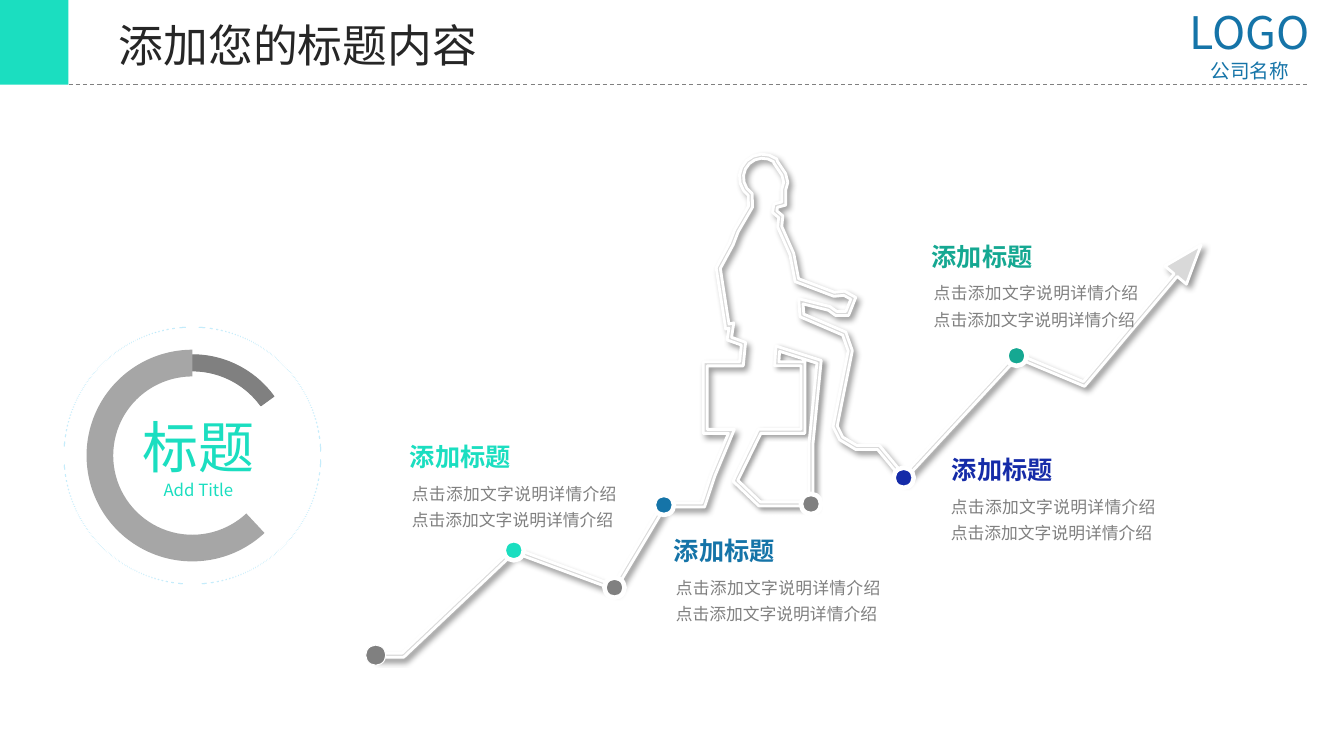
from math import cos, hypot, radians, sin

from lxml.etree import SubElement
from pptx import Presentation
from pptx.dml.color import RGBColor
from pptx.enum.dml import MSO_LINE
from pptx.enum.shapes import MSO_CONNECTOR, MSO_SHAPE
from pptx.enum.text import MSO_AUTO_SIZE, PP_ALIGN
from pptx.oxml.ns import qn
from pptx.util import Inches, Pt

COLORS = {
    "mint": "1BDEC0", "blue": "1574A8", "navy": "152BA8", "green": "15A892",
    "gray": "808080", "silver": "A6A6A6", "pale": "D9D9D9", "sky": "00B0F0",
    "ink": "262626", "white": "FFFFFF", "black": "000000",
}
SC, JP = "Noto Sans CJK SC", "Noto Sans CJK JP"
DETAIL = "点击添加文字说明详情介绍" * 2
DOT = 0.2

START, FIRST_PEAK, FIRST_DIP = (3.73, 6.5), (5.1, 5.46), (6.1, 5.83)
FRONT_TOE, BACK_HEEL = (6.59, 5.01), (8.05, 5)
SECOND_DIP, SECOND_PEAK = (8.97, 4.74), (10.09, 3.53)
LAST_DIP, ARROW_NECK = (10.76, 3.81), (11.67, 2.73)
STOPS = [
    (START, "gray", 0.75), (FIRST_PEAK, "mint", 3.25), (FIRST_DIP, "gray", 3.25),
    (BACK_HEEL, "gray", 3.25), (FRONT_TOE, "blue", 3.25), (SECOND_DIP, "navy", 3.25),
    (SECOND_PEAK, "green", 3.25),
]
CASE_LEFT, CASE_TOP, CASE_RIGHT, CASE_BOTTOM = 7, 3.61, 7.97, 4.28
HEAD_CENTER, HEAD_RADIUS = (7.57, 1.76), 0.21

FIRST_RISE = [START, (4, 6.5), FIRST_PEAK, FIRST_DIP, FRONT_TOE]
FRONT_SHIN = [(6.98, 5.01), (7.08, 4.71), (7.26, CASE_BOTTOM)]
CASE_FRONT = [(CASE_LEFT, CASE_BOTTOM), (CASE_LEFT, CASE_TOP), (7.36, CASE_TOP)]
HAND_AND_BACK = [(7.38, 3.41), (7.24, 3.36), (7.26, 3.23), (7.22, 3.24), (7.13, 2.66),
                 (7.26, 2.42), (7.31, 2.29), (7.45, 2.05)]
FACE = [(7.7, 1.61), (7.78, 1.73), (7.8, 1.81), (7.78, 1.88), (7.78, 2.02), (7.7, 2.04)]
CHEST = [(7.69, 2.1), (7.75, 2.15), (7.74, 2.25), (7.86, 2.52), (7.91, 2.78)]
REACHING_ARM = [(8.28, 2.92), (8.38, 2.91), (8.47, 2.96), (8.41, 3.11), (8.3, 3.11),
                (8.23, 3.06), (7.95, 2.99)]
RAISED_LEG = [(7.96, 3.13), (8.38, 3.31), (8.44, 3.48), (8.29, 4.23), (8.35, 4.35),
              (8.5, 4.44), (8.72, 4.44)]
LAST_RISE = [SECOND_DIP, SECOND_PEAK, LAST_DIP, ARROW_NECK]
CASE_BACK = [(7.54, CASE_BOTTOM), (CASE_RIGHT, CASE_BOTTOM), (CASE_RIGHT, CASE_TOP),
             (7.71, CASE_TOP)]
BACK_LEG = [(7.72, 3.46), (8.13, 3.59), (8.05, 4.4), BACK_HEEL, (7.54, 5), (7.3, 4.77)]

CAPTIONS = [
    (3.97, 4.33, "mint", 0.02), (6.59, 5.26, "blue", 0.02),
    (9.35, 4.46, "navy", -0.01), (9.15, 2.34, "green", 0.02),
]


def rgb(color):
    return RGBColor.from_string(COLORS[color])


def paint(shape, fill, line=None, weight=0.75):
    shape.shadow.inherit = False
    shape.fill.solid()
    shape.fill.fore_color.rgb = rgb(fill)
    if line:
        shape.line.color.rgb = rgb(line)
        shape.line.width = Pt(weight)
    else:
        shape.line.fill.background()


def add_preset(slide, kind, left, top, width, height, fill, line=None, weight=0.75):
    shape = slide.shapes.add_shape(kind, Inches(left), Inches(top), Inches(width), Inches(height))
    paint(shape, fill, line, weight)
    return shape


def add_text(slide, left, top, width, height, rows, font, color, align=PP_ALIGN.LEFT,
             bold=False, wrap=True, spacing=None):
    frame = slide.shapes.add_textbox(
        Inches(left), Inches(top), Inches(width), Inches(height)).text_frame
    frame.text = "\n".join(words for words, _ in rows)
    frame.word_wrap = wrap
    frame.auto_size = MSO_AUTO_SIZE.SHAPE_TO_FIT_TEXT
    for paragraph, (_, size) in zip(frame.paragraphs, rows):
        paragraph.alignment = align
        if spacing:
            paragraph.line_spacing = spacing
        for run in paragraph.runs:
            run.font.size = Pt(size)
            run.font.bold = bold
            run.font.color.rgb = rgb(color)
            run.font.name = font
            SubElement(run._r.get_or_add_rPr(), qn("a:ea"), typeface=font)


def arc_points(center, radius, start, end, step):
    return [(center[0] + radius * cos(radians(angle)), center[1] + radius * sin(radians(angle)))
            for angle in range(start, end + 1, step)]


def unit_normal(start, end):
    dx, dy = end[0] - start[0], end[1] - start[1]
    length = hypot(dx, dy)
    return -dy / length, dx / length


def ribbon_sides(points, closed=False, half_width=0.02):
    normals = [unit_normal(a, b) for a, b in zip(points, points[1:] + points[:1])]
    if not closed:
        normals[-1] = normals[-2]
    right, left = [], []
    for i, (x, y) in enumerate(points):
        nx, ny = normals[i]
        px, py = normals[i - 1] if i or closed else normals[i]
        reach = half_width / max(1 + nx * px + ny * py, 0.5)
        dx, dy = (nx + px) * reach, (ny + py) * reach
        right.append((x + dx, y + dy))
        left.append((x - dx, y - dy))
    return right, left


def arrowhead(before, neck, half_width=0.14, length=0.39):
    nx, ny = unit_normal(before, neck)
    x, y = neck
    return [(x + nx * half_width, y + ny * half_width),
            (x + ny * length, y - nx * length),
            (x - nx * half_width, y - ny * half_width)]


def add_ribbon(slide, left, top, contours):
    placed = [[(Inches(left + x), Inches(top + y)) for x, y in contour] for contour in contours]
    builder = slide.shapes.build_freeform(*placed[0][0], scale=1.0)
    for i, contour in enumerate(placed):
        if i:
            builder.move_to(*contour[0])
        builder.add_line_segments(contour[1:], close=True)
    ribbon = builder.convert_to_shape()
    paint(ribbon, "pale", "white", 2)
    effects = ribbon._element.spPr.find(qn("a:effectLst"))
    shadow = SubElement(effects, qn("a:outerShdw"), blurRad=str(Pt(4)), dist=str(Pt(3)),
                        dir=str(45 * 60000), algn="tl", rotWithShape="0")
    tint = SubElement(shadow, qn("a:srgbClr"), val=COLORS["black"])
    SubElement(tint, qn("a:alpha"), val="40000")


def add_climb(slide, left, top):
    add_ribbon(slide, left, top, ribbon_sides(BACK_LEG + CASE_BACK, closed=True))
    head = arc_points(HEAD_CENTER, HEAD_RADIUS, 126, 306, 20)
    walker = (FRONT_SHIN + CASE_FRONT + HAND_AND_BACK + head + FACE + CHEST
              + REACHING_ARM + RAISED_LEG)
    lower, upper = ribbon_sides(FIRST_RISE + walker + LAST_RISE)
    add_ribbon(slide, left, top, [lower + arrowhead(LAST_DIP, ARROW_NECK) + upper[::-1]])
    for (x, y), color, weight in STOPS:
        add_preset(slide, MSO_SHAPE.OVAL, left + x - DOT / 2, top + y - DOT / 2, DOT, DOT,
                   color, "white", weight)


def add_caption(slide, left, top, color, indent):
    add_text(slide, left, top, 1.22, 0.4, [("添加标题", 18)], SC, color, bold=True, wrap=False)
    add_text(slide, left + indent, top + 0.36, 2.23, 0.63, [(DETAIL, 12)], SC, "gray",
             PP_ALIGN.JUSTIFY, spacing=1.3)


def add_badge(slide, left, top, size):
    center_x, center_y = left + size / 2, top + size / 2
    arcs = [(1, 270, 324, 0.08, "gray", "gray"), (1.05, 47, 270, 0.126, "silver", None)]
    for radius, start, end, thickness, fill, line in arcs:
        arc = add_preset(slide, MSO_SHAPE.BLOCK_ARC, center_x - radius, center_y - radius,
                         2 * radius, 2 * radius, fill, line)
        for i, value in enumerate((start * 0.6, end * 0.6, thickness)):
            arc.adjustments[i] = value
    halo = add_preset(slide, MSO_SHAPE.DONUT, left, top, size, size, "sky", "white")
    halo.adjustments[0] = 0.004
    add_text(slide, left + 0.58, top + 0.8, 1.52, 0.98, [("标题", 40), ("Add Title", 12)],
             SC, "mint", PP_ALIGN.CENTER)


def add_header(slide, left, top, width, height):
    rule = slide.shapes.add_connector(
        MSO_CONNECTOR.STRAIGHT, Inches(left + 0.68), Inches(top + height),
        Inches(left + width), Inches(top + height))
    rule.line.color.rgb = rgb("gray")
    rule.line.width = Pt(0.75)
    rule.line.dash_style = MSO_LINE.DASH
    SubElement(rule._element.spPr, qn("a:effectLst"))
    add_preset(slide, MSO_SHAPE.RECTANGLE, left, top, 0.68, height, "mint")
    add_text(slide, left + 1.08, top + 0.13, 5.43, 0.64, [("添加您的标题内容", 32)], JP, "ink")
    add_text(slide, left + width - 1.39, top, 1.65, 0.91, [("LOGO", 32), ("公司名称", 14)],
             JP, "blue", PP_ALIGN.CENTER)


def main():
    deck = Presentation()
    deck.slide_width, deck.slide_height = Inches(13.34), Inches(7.5)
    slide = deck.slides.add_slide(deck.slide_layouts[6])
    add_climb(slide, 0, 0)
    for caption in CAPTIONS:
        add_caption(slide, *caption)
    add_badge(slide, 0.63, 3.24, 2.56)
    add_header(slide, 0, 0, 12.97, 0.84)
    deck.save("out.pptx")


if __name__ == "__main__":
    main()
